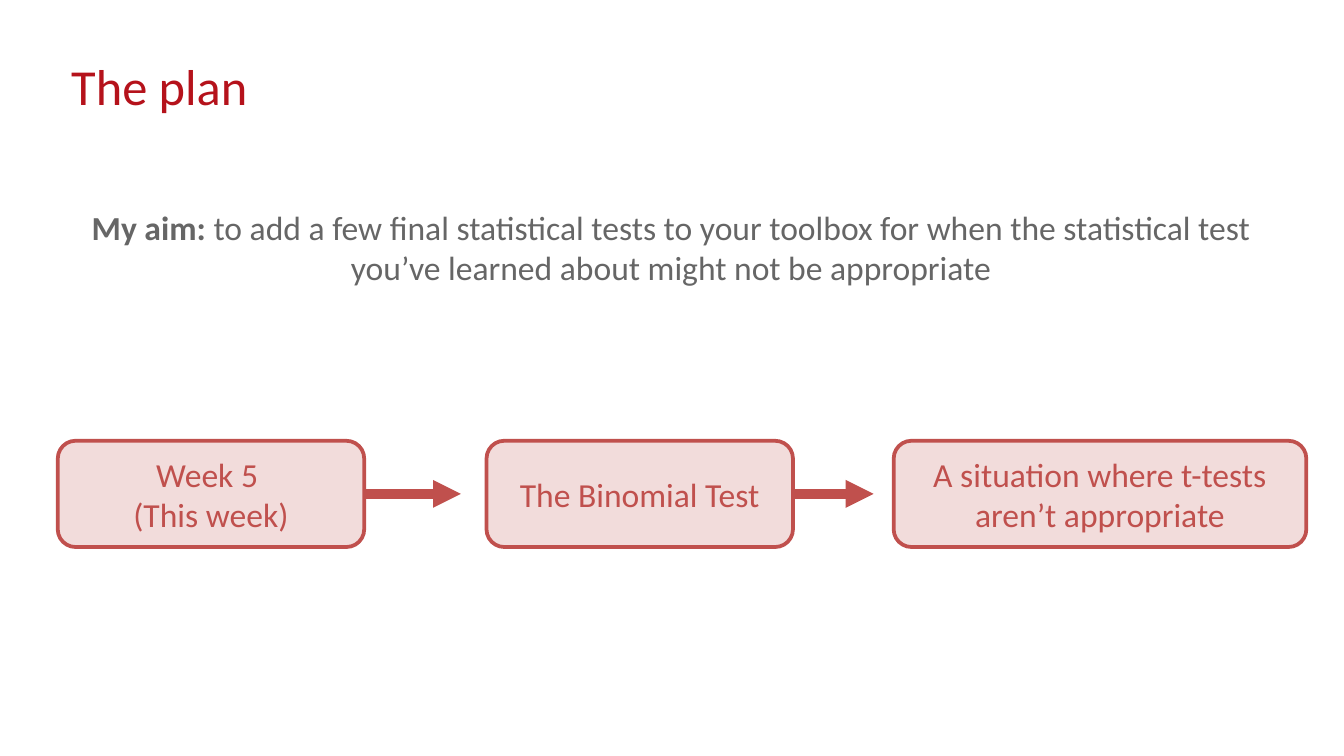
from lxml import etree
from pptx import Presentation
from pptx.dml.color import RGBColor
from pptx.enum.shapes import MSO_CONNECTOR, MSO_SHAPE
from pptx.enum.text import MSO_ANCHOR, MSO_AUTO_SIZE, PP_ALIGN
from pptx.oxml.ns import qn
from pptx.util import Inches, Pt

STRAIGHT = MSO_CONNECTOR.STRAIGHT
ROUNDED = MSO_SHAPE.ROUNDED_RECTANGLE
TOP, MIDDLE = MSO_ANCHOR.TOP, MSO_ANCHOR.MIDDLE
LEFT, CENTER = PP_ALIGN.LEFT, PP_ALIGN.CENTER
RIGHT_SIDE = 3

SLIDE_WIDTH = 10
SLIDE_HEIGHT = SLIDE_WIDTH * 9 / 16
FONT = "Calibri"
COLORS = {"title": "B5121B", "body": "666666", "accent": "C0504D", "fill": "F2DCDB"}

TITLE = "The plan"
AIM = [
    ("My aim: ", True),
    ("to add a few final statistical tests to your toolbox for when the "
     "statistical test you’ve learned about might not be appropriate", False),
]
# Left, width, paragraphs, end of the arrow that leaves the box
STEPS = [
    (0.43, 2.28, ["Week 5 ", "(This week)"], 3.43),
    (3.62, 2.28, ["The Binomial Test"], 6.5),
    (6.65, 3.07, ["A situation where t-tests aren’t appropriate"], None),
]
STEP_TOP, STEP_HEIGHT = 3.28, 0.79


def color(name):
    return RGBColor.from_string(COLORS[name])


def format_paragraph(paragraph, size, color_name, alignment):
    paragraph.alignment = alignment
    paragraph.font.name = FONT
    paragraph.font.size = Pt(size)
    paragraph.font.color.rgb = color(color_name)


def add_title(slide):
    title = slide.shapes.title
    title.left, title.top = Inches(0.43), Inches(0.45)
    title.width, title.height = Inches(7.4), Inches(0.94)
    frame = title.text_frame
    frame.text = TITLE
    frame.auto_size = MSO_AUTO_SIZE.NONE
    frame.vertical_anchor = TOP
    paragraph = frame.paragraphs[0]
    format_paragraph(paragraph, 27, "title", LEFT)
    paragraph.line_spacing = Pt(26.2)


def add_aim(slide):
    box = slide.shapes.add_textbox(Inches(0.23), Inches(1.49), Inches(9.53), Inches(0.88))
    box.text_frame.word_wrap = True
    paragraph = box.text_frame.paragraphs[0]
    format_paragraph(paragraph, 18, "body", CENTER)
    for text, bold in AIM:
        run = paragraph.add_run()
        run.text = text
        run.font.bold = bold


def add_step(slide, left, width, lines):
    step = slide.shapes.add_shape(
        ROUNDED, Inches(left), Inches(STEP_TOP), Inches(width), Inches(STEP_HEIGHT))
    step.shadow.inherit = False
    step.fill.solid()
    step.fill.fore_color.rgb = color("fill")
    step.line.color.rgb = color("accent")
    step.line.width = Pt(2)
    frame = step.text_frame
    frame.word_wrap = True
    frame.vertical_anchor = MIDDLE
    frame.text = "\n".join(lines)
    for paragraph in frame.paragraphs:
        format_paragraph(paragraph, 18, "accent", CENTER)
    return step


def add_arrow(slide, step, end):
    middle = step.top + step.height // 2
    arrow = slide.shapes.add_connector(
        STRAIGHT, step.left + step.width, middle, Inches(end), middle)
    arrow.begin_connect(step, RIGHT_SIDE)
    arrow.line.color.rgb = color("accent")
    arrow.line.width = Pt(5)
    line = arrow._element.spPr.find(qn("a:ln"))
    etree.SubElement(line, qn("a:tailEnd"), type="triangle")
    etree.SubElement(arrow._element.spPr, qn("a:effectLst"))


def main():
    presentation = Presentation()
    presentation.slide_width = Inches(SLIDE_WIDTH)
    presentation.slide_height = Inches(SLIDE_HEIGHT)
    slide = presentation.slides.add_slide(presentation.slide_layouts[5])
    add_title(slide)
    add_aim(slide)
    for left, width, lines, arrow_end in STEPS:
        step = add_step(slide, left, width, lines)
        if arrow_end is not None:
            add_arrow(slide, step, arrow_end)
    presentation.save("out.pptx")


if __name__ == "__main__":
    main()
